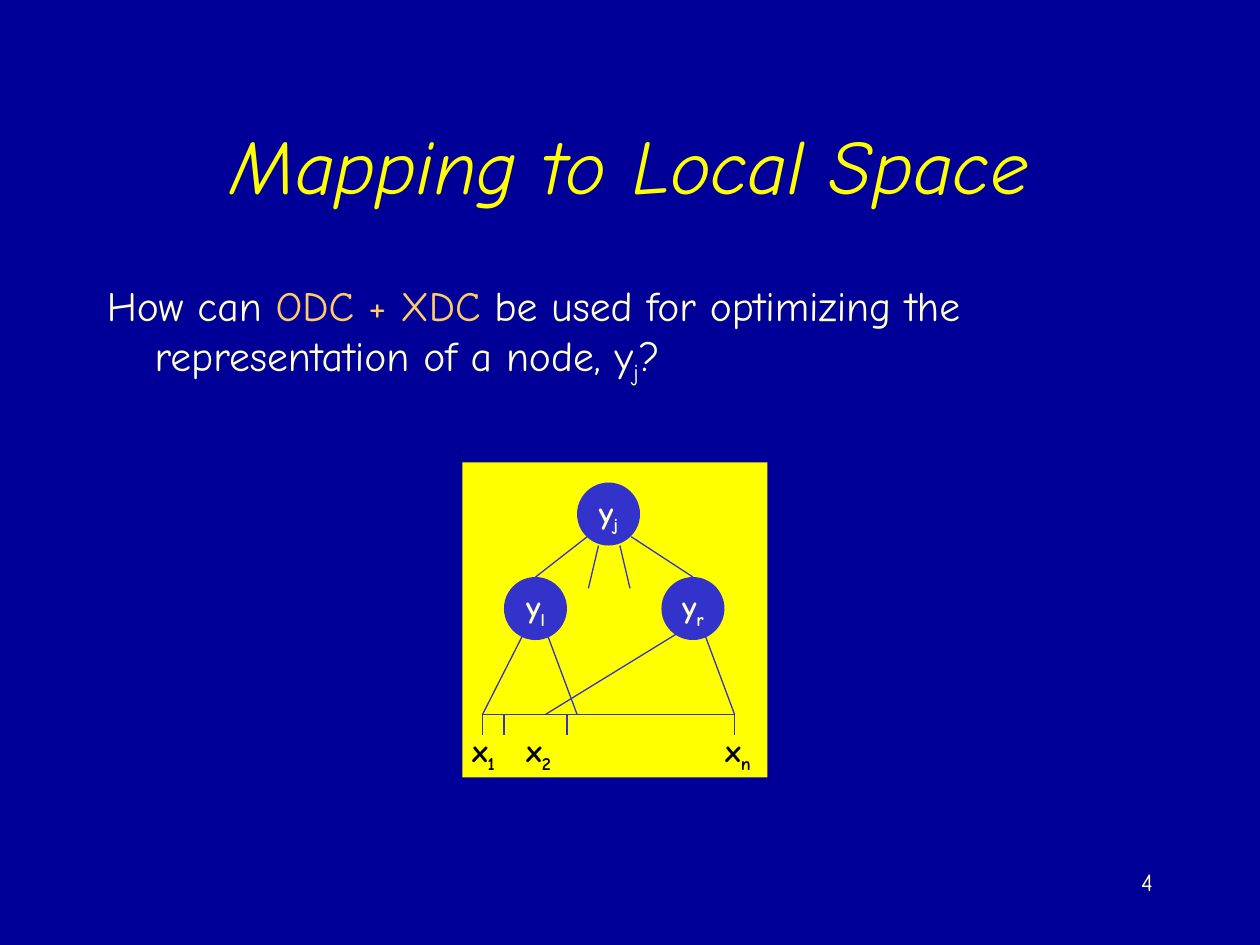
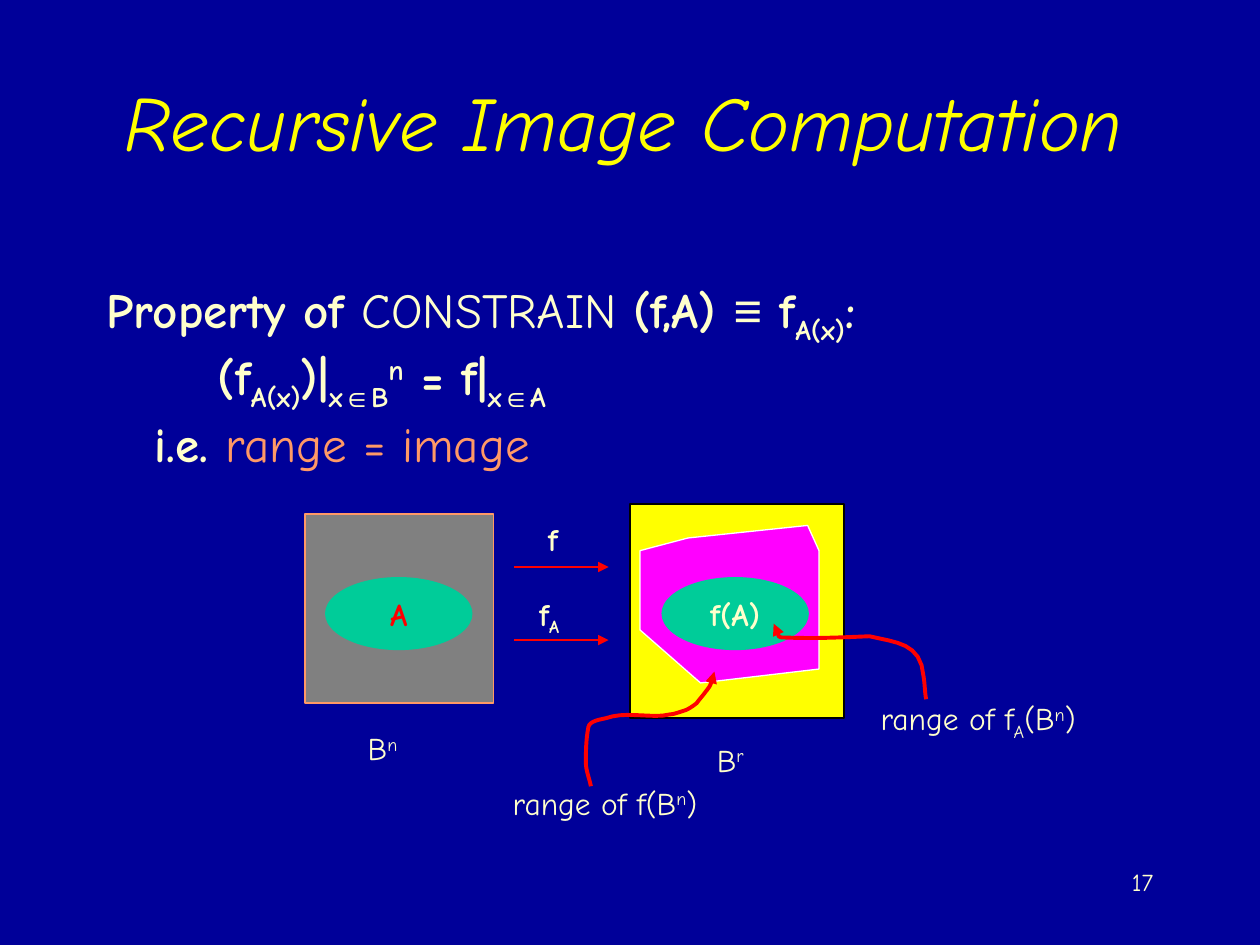
from itertools import pairwise

from lxml.etree import SubElement
from pptx import Presentation
from pptx.dml.color import RGBColor
from pptx.enum.shapes import MSO_CONNECTOR, MSO_SHAPE
from pptx.enum.text import MSO_ANCHOR, MSO_AUTO_SIZE, PP_ALIGN
from pptx.oxml.ns import qn
from pptx.util import Inches, Pt

NAVY = RGBColor(0x00, 0x00, 0x99)
YELLOW = RGBColor(0xFF, 0xFF, 0x00)
CREAM = RGBColor(0xFF, 0xFF, 0xCC)
GOLD = RGBColor(0xFF, 0xCC, 0x66)
ORANGE = RGBColor(0xFF, 0x99, 0x66)
INDIGO = RGBColor(0x33, 0x33, 0xCC)
GREEN = RGBColor(0x00, 0xCC, 0x99)
MAGENTA = RGBColor(0xFF, 0x00, 0xFF)
GRAY = RGBColor(0x80, 0x80, 0x80)
RED = RGBColor(0xFF, 0x00, 0x00)
BLACK = RGBColor(0x00, 0x00, 0x00)
WHITE = RGBColor(0xFF, 0xFF, 0xFF)
FONT = "Comic Neue"
BREAK = "\n"


def styled(text, **style):
    return text, style


def sub(text, **style):
    return text, {"baseline": -25000, **style}


def sup(text):
    return text, {"baseline": 30000}


def write(p, runs, size, color=CREAM, bold=None, italic=None):
    p.font.size = Pt(size)
    p.font.italic = italic
    for run in runs:
        if run == BREAK:
            p.add_line_break()
            continue
        text, style = (run, {}) if isinstance(run, str) else run
        r = p.add_run()
        r.text = text
        r.font.name = style.get("font", FONT)
        r.font.bold = style.get("bold", bold)
        r.font.color.rgb = style.get("color", color)
        if "baseline" in style:
            r._r.get_or_add_rPr().set("baseline", str(style["baseline"]))


def add_text(shapes, box, runs, size, align=PP_ALIGN.LEFT, anchor=MSO_ANCHOR.TOP, **style):
    tf = shapes.add_textbox(*map(Inches, box)).text_frame
    tf.word_wrap = True
    tf.vertical_anchor = anchor
    p = tf.paragraphs[0]
    p.alignment = align
    write(p, runs, size, **style)
    return tf


def add_label(shapes, box, runs, **style):
    tf = add_text(shapes, box, runs, 18, **style)
    tf.word_wrap = False
    tf.auto_size = MSO_AUTO_SIZE.SHAPE_TO_FIT_TEXT


def add_title(slide, box, text):
    add_text(slide.shapes, box, [text], 44, PP_ALIGN.CENTER, MSO_ANCHOR.MIDDLE,
             color=YELLOW, italic=True)


def add_body(slide, box, runs, size, **style):
    tf = add_text(slide.shapes, box, [], size)
    p = tf.paragraphs[0]
    pPr = p._p.get_or_add_pPr()
    pPr.set("marL", str(Inches(0.38)))
    pPr.set("indent", str(-Inches(0.38)))
    tabs = pPr.makeelement(qn("a:tabLst"), {})
    pPr.insert(0, tabs)
    SubElement(tabs, qn("a:tab"), pos=str(Inches(1)), algn="l")
    write(p, runs, size, **style)


def add_page_number(slide, number):
    add_text(slide.shapes, (7.17, 6.83, 2.08, 0.5), [str(number)], 14, PP_ALIGN.RIGHT)


def set_line(sp, color, width, arrow=False):
    sp.line.color.rgb = color
    sp.line.width = Pt(width)
    if arrow:
        SubElement(sp.line._get_or_add_ln(), qn("a:tailEnd"), type="triangle")


def paint(sp, fill, line=None, width=0.75):
    sp.shadow.inherit = False
    sp.fill.solid()
    sp.fill.fore_color.rgb = fill
    if line is None:
        sp.line.fill.background()
    else:
        set_line(sp, line, width)


def add_box(shapes, box, fill, line=None, width=0.75):
    sp = shapes.add_shape(MSO_SHAPE.RECTANGLE, *map(Inches, box))
    paint(sp, fill, line, width)


def add_ellipse(shapes, box, fill, runs, color=CREAM):
    sp = shapes.add_shape(MSO_SHAPE.OVAL, *map(Inches, box))
    paint(sp, fill)
    tf = sp.text_frame
    tf.word_wrap = False
    tf.vertical_anchor = MSO_ANCHOR.MIDDLE
    p = tf.paragraphs[0]
    p.alignment = PP_ALIGN.CENTER
    write(p, runs, 18, color, bold=True)
    return sp


def add_line(shapes, start, end, color, arrow=False):
    cxn = shapes.add_connector(MSO_CONNECTOR.STRAIGHT, *map(Inches, (*start, *end)))
    set_line(cxn, color, 0.75, arrow)
    SubElement(cxn._element.spPr, qn("a:effectLst"))
    return cxn


def add_outline(shapes, points, close):
    points = [(Inches(x), Inches(y)) for x, y in points]
    builder = shapes.build_freeform(*points[0])
    builder.add_line_segments(points[1:], close=close)
    sp = builder.convert_to_shape()
    sp.shadow.inherit = False
    return sp


def bezier(a, b, c, d, t):
    u = 1 - t
    return tuple(u**3 * i + 3 * u * u * t * j + 3 * u * t * t * k + t**3 * m
                 for i, j, k, m in zip(a, b, c, d))


def add_curved_arrow(shapes, start, segments, steps=8):
    points = [start]
    for b, c, d in segments:
        a = points[-1]
        points += [bezier(a, b, c, d, n / steps) for n in range(1, steps + 1)]
    sp = add_outline(shapes, points, False)
    sp.fill.background()
    set_line(sp, RED, 2.25, arrow=True)


def draw_tree(slide, left, top):
    shapes = slide.shapes.add_group_shape().shapes

    def at(x, y):
        return left + x, top + y

    add_box(shapes, (left, top, 2.42, 2.5), YELLOW)
    nodes = {
        name: add_ellipse(shapes, (*at(x, y), 0.5, 0.5), INDIGO, ["y", sub(name)])
        for name, x, y in (("j", 0.91, 0.16), ("r", 1.58, 0.91), ("l", 0.33, 0.91))
    }
    for name, x in (("l", 0.99), ("r", 1.34)):
        edge = add_line(shapes, at(0, 0), at(x, 0.59), INDIGO)
        edge.begin_connect(nodes[name], 0)

    ticks = (0.16, 0.33, 0.83, 2.16)
    lines = [((1.08, 0.66), (1, 1)), ((1.25, 0.66), (1.33, 1))]
    lines += [((x, 1.33), (foot, 2)) for x, foot in
              ((0.5, 0.16), (0.66, 0.91), (1.75, 0.66), (1.91, 2.16))]
    lines += [((a, 2), (b, 2)) for a, b in pairwise((0.16, 0.66, 2.16))]
    lines += [((x, 2), (x, 2.16)) for x in ticks]
    for start, end in lines:
        add_line(shapes, at(*start), at(*end), INDIGO)

    for index, x in (("1", -0.02), ("2", 0.41), ("n", 1.99)):
        add_label(shapes, (*at(x, 2.08), 0.43, 0.44), ["x", sub(index)],
                  color=BLACK, bold=True)


def draw_domain(slide, left, top):
    shapes = slide.shapes
    add_box(shapes, (left, top, 1.5, 1.5), GRAY, ORANGE)
    add_ellipse(shapes, (left + 0.16, top + 0.5, 1.17, 0.58), GREEN, ["A"], RED)
    add_label(shapes, (left + 0.4, top + 1.66, 0.45, 0.4), ["B", sup("n")])


def draw_mappings(slide, left, top):
    shapes = slide.shapes
    for y in (0.42, 1):
        add_line(shapes, (left, top + y), (left + 0.75, top + y), RED, arrow=True)
    add_label(shapes, (left + 0.17, top, 0.29, 0.4), ["f"], bold=True)
    add_label(shapes, (left + 0.1, top + 0.59, 0.39, 0.44), ["f", sub("A")], bold=True)


def draw_codomain(slide, left, top):
    shapes = slide.shapes

    def at(x, y):
        return left + x, top + y

    def arrow(start, *segments):
        add_curved_arrow(shapes, at(*start), [[at(*q) for q in s] for s in segments])

    add_box(shapes, (left, top, 1.7, 1.7), YELLOW, BLACK, 1.5)
    corners = ((0.46, 0.27), (1.41, 0.17), (1.5, 0.37), (1.5, 1.31),
               (0.56, 1.42), (0.08, 1), (0.08, 0.37))
    paint(add_outline(shapes, [at(*c) for c in corners], True), MAGENTA, WHITE)
    add_ellipse(shapes, (*at(0.25, 0.58), 1.17, 0.58), GREEN, ["f(A)"])
    add_label(shapes, (*at(0.59, 1.83), 0.42, 0.4), ["B", sup("r")])

    arrow((-0.31, 2.24),
          ((-0.32, 2.19), (-0.35, 2.11), (-0.35, 2.06)),
          ((-0.35, 1.97), (-0.35, 1.87), (-0.33, 1.77)),
          ((-0.32, 1.72), (-0.23, 1.71), (-0.19, 1.7)),
          ((-0.05, 1.65), (0.11, 1.69), (0.26, 1.68)),
          ((0.36, 1.66), (0.31, 1.68), (0.43, 1.64)),
          ((0.47, 1.63), (0.53, 1.58), (0.53, 1.58)),
          ((0.55, 1.55), (0.58, 1.52), (0.6, 1.49)),
          ((0.61, 1.48), (0.63, 1.45), (0.63, 1.45)),
          ((0.65, 1.41), (0.67, 1.37), (0.67, 1.33)))
    add_label(shapes, (*at(-1.03, 2.17), 1.75, 0.4), ["range of f(B", sup("n"), ")"])

    arrow((2.35, 1.55),
          ((2.34, 1.49), (2.34, 1.43), (2.33, 1.37)),
          ((2.31, 1.1), (2.11, 1.1), (1.9, 1.05)),
          ((1.67, 1.06), (1.46, 1.07), (1.22, 1.06)),
          ((1.21, 1.06), (1.19, 1.06), (1.18, 1.05)),
          ((1.17, 1.02), (1.18, 0.99), (1.16, 0.97)),
          ((1.15, 0.96), (1.15, 0.96), (1.14, 0.95)))
    add_label(shapes, (*at(1.89, 1.5), 1.84, 0.44),
              ["range of f", sub("A"), "(B", sup("n"), ")"])


def build_local_space(slide):
    add_title(slide, (0.75, 0.67, 8.5, 1.25), "Mapping to Local Space")
    add_body(slide, (0.75, 2.17, 8.5, 1), [
        "How can ", styled("ODC + XDC", color=GOLD),
        " be used for optimizing the representation of a node, y", sub("j"), "?",
    ], 23.8)
    draw_tree(slide, 3.67, 3.67)
    add_page_number(slide, 4)


def build_image_computation(slide):
    add_title(slide, (0.33, 0.33, 9.25, 1.25), "Recursive Image Computation")
    element_of = sub("∈", font="Arial")
    add_body(slide, (0.75, 2.17, 8.5, 4.5), [
        "Property of ", styled("CONSTRAIN ", bold=False), "(f,A) ",
        styled("≡", font="Arial"), " f", sub("A(x)"), ":", BREAK,
        "\t(f", sub("A(x)"), ")|", sub("x"), element_of, sub("B"), sup("n"),
        " = f|", sub("x"), element_of, sub("A"), BREAK,
        "i.e. ", styled("range = image", color=ORANGE, bold=False),
    ], 28, bold=True)
    draw_domain(slide, 2.42, 4.08)
    draw_mappings(slide, 4.08, 4.08)
    draw_codomain(slide, 5, 4)
    add_page_number(slide, 17)


def main():
    prs = Presentation()
    prs.slide_width, prs.slide_height = Inches(10), Inches(7.5)
    background = prs.slide_master.background.fill
    background.solid()
    background.fore_color.rgb = NAVY
    for build in (build_local_space, build_image_computation):
        build(prs.slides.add_slide(prs.slide_layouts[6]))
    prs.save("out.pptx")


if __name__ == "__main__":
    main()
